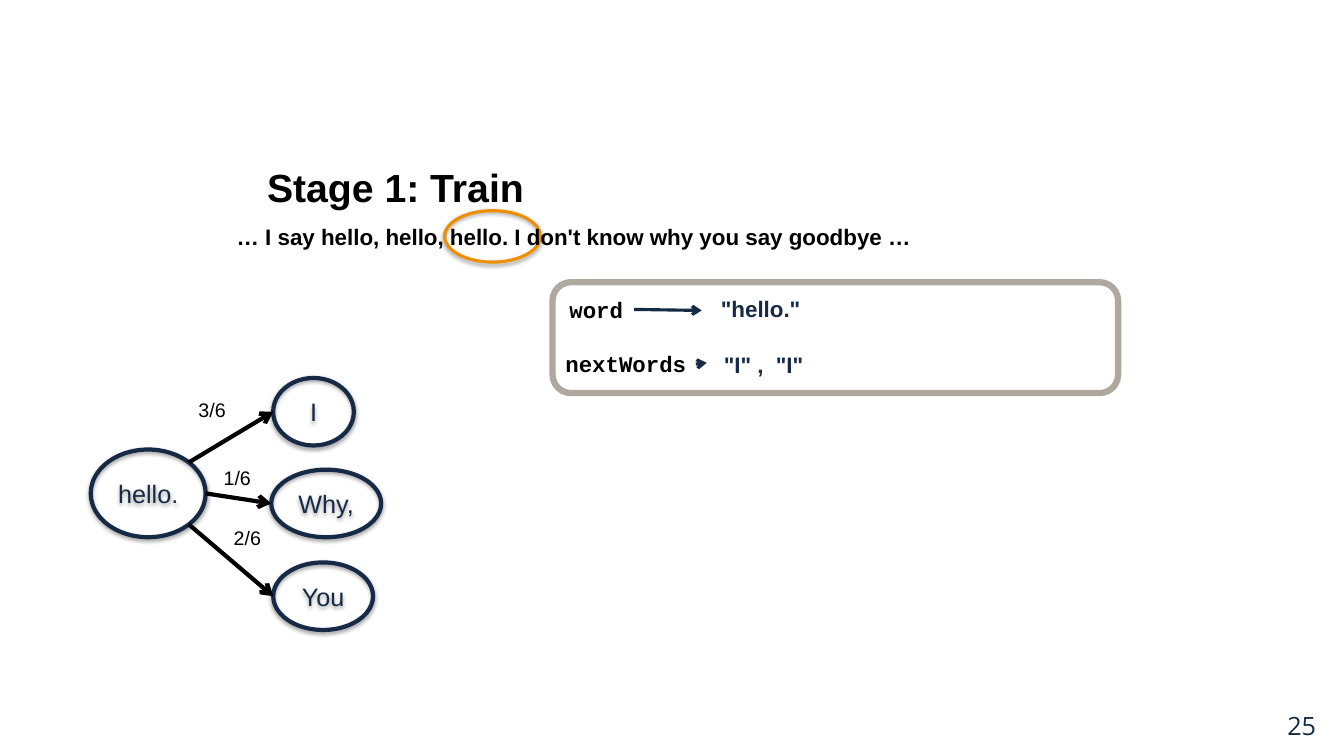
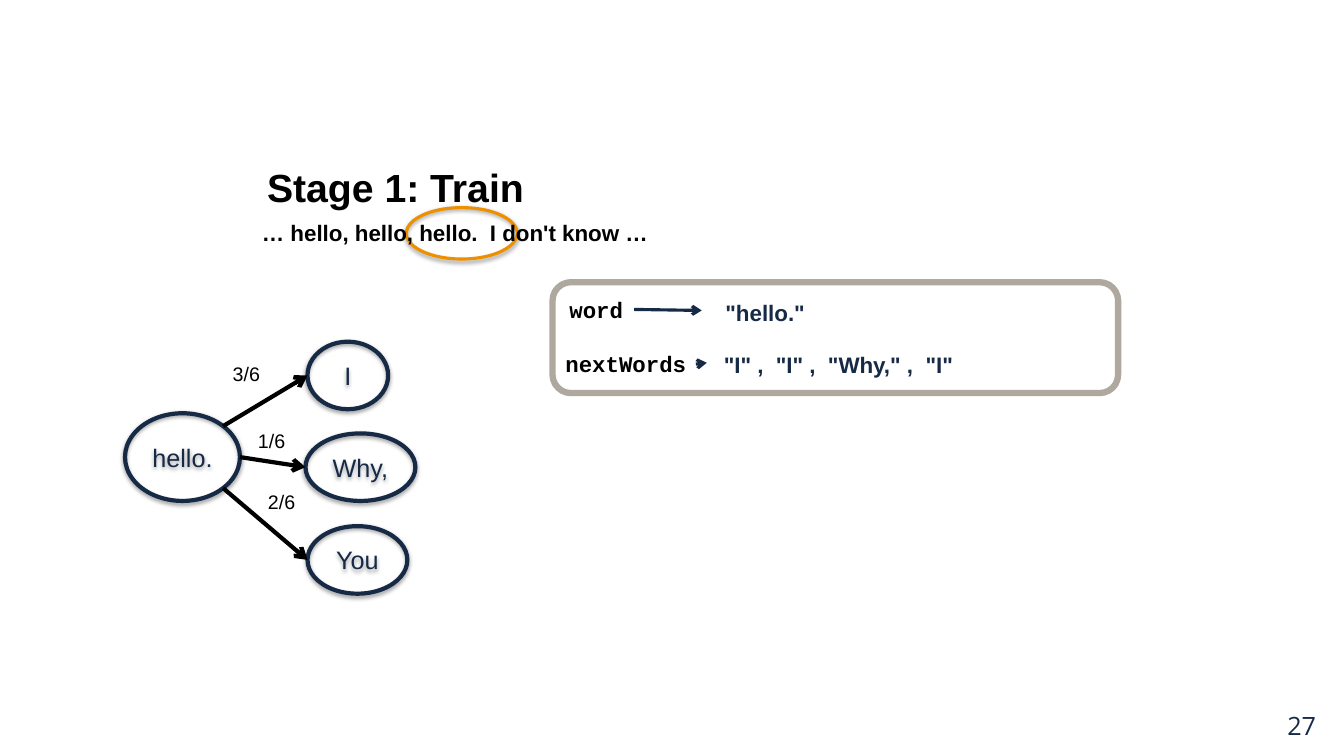
import math
from dataclasses import dataclass

import pptx
import pptx.dml.color
import pptx.enum.shapes
import pptx.enum.text
import pptx.oxml
import pptx.oxml.ns
import pptx.util

Inches = pptx.util.Inches
Pt = pptx.util.Pt
SHAPE = pptx.enum.shapes.MSO_SHAPE
ALIGN = pptx.enum.text.PP_ALIGN
ANCHOR = pptx.enum.text.MSO_ANCHOR


@dataclass(frozen=True)
class Theme:
    navy: str = "162A46"
    black: str = "000000"
    grey: str = "AFA89F"
    orange: str = "EE8F00"
    sans: str = "Arial"
    mono: str = "Courier New"
    footer: str = "Open Sans"
    title_size: int = 28
    node_size: int = 18
    body_size: int = 16
    label_size: int = 14
    frame_line: float = 4.5
    node_line: float = 3
    thin_line: float = 2.25


THEME = Theme()

SHADOW_XML = (
    f"<a:effectLst {pptx.oxml.ns.nsdecls('a')}>"
    '<a:outerShdw blurRad="40000" dist="20000" dir="5400000" rotWithShape="0">'
    '<a:srgbClr val="000000"><a:alpha val="38000"/></a:srgbClr>'
    "</a:outerShdw></a:effectLst>"
)


def rgb(value):
    return pptx.dml.color.RGBColor.from_string(value)


def lengths(box):
    return [Inches(value) for value in box]


def write(frame, text, size, color, font=THEME.sans, bold=False, align=ALIGN.LEFT):
    paragraph = frame.paragraphs[0]
    paragraph.alignment = align
    run = paragraph.add_run()
    run.text = text
    run.font.name = font
    run.font.size = Pt(size)
    run.font.bold = bold
    run.font.color.rgb = rgb(color)


def add_text(slide, box, text, size, color, wrap=True, anchor=ANCHOR.TOP, **style):
    frame = slide.shapes.add_textbox(*lengths(box)).text_frame
    frame.word_wrap = wrap
    frame.vertical_anchor = anchor
    write(frame, text, size, color, **style)


def add_outline(slide, preset, box, color, width, shadow=False):
    """Add an unfilled shape, with a soft shadow below it if asked."""
    shape = slide.shapes.add_shape(preset, *lengths(box))
    shape.fill.background()
    shape.line.color.rgb = rgb(color)
    shape.line.width = Pt(width)
    shape.shadow.inherit = False
    if shadow:
        properties = shape._element.spPr
        properties.remove(properties.find(pptx.oxml.ns.qn("a:effectLst")))
        properties.append(pptx.oxml.parse_xml(SHADOW_XML))
    return shape


def add_arrow(slide, start, end, color, width):
    arrow = slide.shapes.add_connector(
        pptx.enum.shapes.MSO_CONNECTOR.STRAIGHT, *lengths(start + end))
    arrow.line.color.rgb = rgb(color)
    arrow.line.width = Pt(width)
    namespace = pptx.oxml.ns.nsdecls("a")
    arrow.line._get_or_add_ln().append(
        pptx.oxml.parse_xml(f'<a:tailEnd {namespace} type="arrow"/>'))
    arrow._element.spPr.append(pptx.oxml.parse_xml(f"<a:effectLst {namespace}/>"))


def ellipse_point(box, degrees):
    """Return the point of the ellipse in box at an angle, clockwise from the right."""
    left, top, width, height = box
    angle = math.radians(degrees)
    return (left + width / 2 * (1 + math.cos(angle)),
            top + height / 2 * (1 + math.sin(angle)))


def add_heading(slide, number):
    add_text(slide, (12.67, 7, 0.5, 0.4), str(number), THEME.node_size,
             THEME.navy, font=THEME.footer)
    add_text(slide, (2.55, 1.57, 7.99, 0.57), "Stage 1: Train", THEME.title_size,
             THEME.black, bold=True)


def add_sentence(slide, box, sentence, circle):
    add_outline(slide, SHAPE.OVAL, circle, THEME.orange, THEME.thin_line, shadow=True)
    add_text(slide, box, sentence, THEME.body_size, THEME.black, bold=True)


def add_variables(slide, box, word_box, next_words):
    """Frame the two variables; word_box is relative to the frame."""
    left, top = box[:2]

    def place(x, y, *size):
        return (left + x, top + y, *size)

    def name(position, text):
        add_text(slide, position, text, THEME.body_size, THEME.black, wrap=False,
                 font=THEME.mono, bold=True)

    def value(position, text, align):
        add_text(slide, position, text, THEME.body_size, THEME.navy,
                 anchor=ANCHOR.MIDDLE, bold=True, align=align)

    add_outline(slide, SHAPE.ROUNDED_RECTANGLE, box, THEME.grey, THEME.frame_line)
    name(place(0.07, 0.09, 0.74, 0.37), "word")
    value(place(*word_box), '"hello."', ALIGN.CENTER)
    name(place(0.03, 0.62, 1.42, 0.37), "nextWords")
    value(place(1.6, 0.59, 3.88, 0.45), next_words, ALIGN.LEFT)
    for start, end in (((0.81, 0.27), (1.48, 0.28)), ((1.44, 0.81), (1.53, 0.8))):
        add_arrow(slide, place(*start), place(*end), THEME.navy, THEME.thin_line)


def add_node(slide, box, word):
    node = add_outline(slide, SHAPE.OVAL, box, THEME.navy, THEME.node_line, shadow=True)
    node.text_frame.vertical_anchor = ANCHOR.MIDDLE
    node.text_frame.word_wrap = True
    write(node.text_frame, word, THEME.node_size, THEME.navy, align=ALIGN.CENTER)


# word, node box, angle at which its arrow leaves the root, probability, label place
BRANCHES = (
    ("I", (1.81, 0, 0.8, 0.67), -45, "3/6", (0.97, 0.15)),
    ("Why,", (1.79, 0.91, 1.09, 0.67), 0, "1/6", (1.22, 0.82)),
    ("You", (1.81, 1.83, 0.99, 0.67), 45, "2/6", (1.32, 1.42)),
)


def add_word_graph(slide, left, top):
    root = (left, top + 0.71, 1.14, 0.87)
    add_node(slide, root, "hello.")
    for word, (x, y, width, height), angle, chance, (label_x, label_y) in BRANCHES:
        node = (left + x, top + y, width, height)
        add_node(slide, node, word)
        add_arrow(slide, ellipse_point(root, angle), ellipse_point(node, 180),
                  THEME.black, THEME.node_line)
        add_text(slide, (left + label_x, top + label_y, 0.47, 0.34), chance,
                 THEME.label_size, THEME.black, wrap=False)


def add_training_slide(deck, number, sentence, sentence_box, circle, word_box,
                       next_words, graph_corner):
    slide = deck.slides.add_slide(deck.slide_layouts[6])
    add_heading(slide, number)
    add_variables(slide, (5.48, 2.8, 5.61, 1.1), word_box, next_words)
    add_sentence(slide, sentence_box, sentence, circle)
    add_word_graph(slide, *graph_corner)


def main():
    deck = pptx.Presentation()
    deck.slide_width = Inches(13.33)
    deck.slide_height = Inches(7.5)
    add_training_slide(
        deck, 25,
        sentence="… I say hello, hello, hello. I don't know why you say goodbye …",
        sentence_box=(2.25, 2.16, 9.13, 0.37),
        circle=(4.41, 2.09, 0.95, 0.51),
        word_box=(1.48, 0.04, 1.17, 0.45),
        next_words='"I" ,  "I"',
        graph_corner=(0.9, 3.75))
    add_training_slide(
        deck, 27,
        sentence="… hello, hello, hello.  I don't know …",
        sentence_box=(2.5, 2.13, 5, 0.37),
        circle=(4.03, 2.06, 1.1, 0.51),
        word_box=(1.58, 0.08, 1.06, 0.45),
        next_words='"I" ,  "I" ,  "Why," ,  "I"',
        graph_corner=(1.24, 3.39))
    deck.save("out.pptx")


if __name__ == "__main__":
    main()
